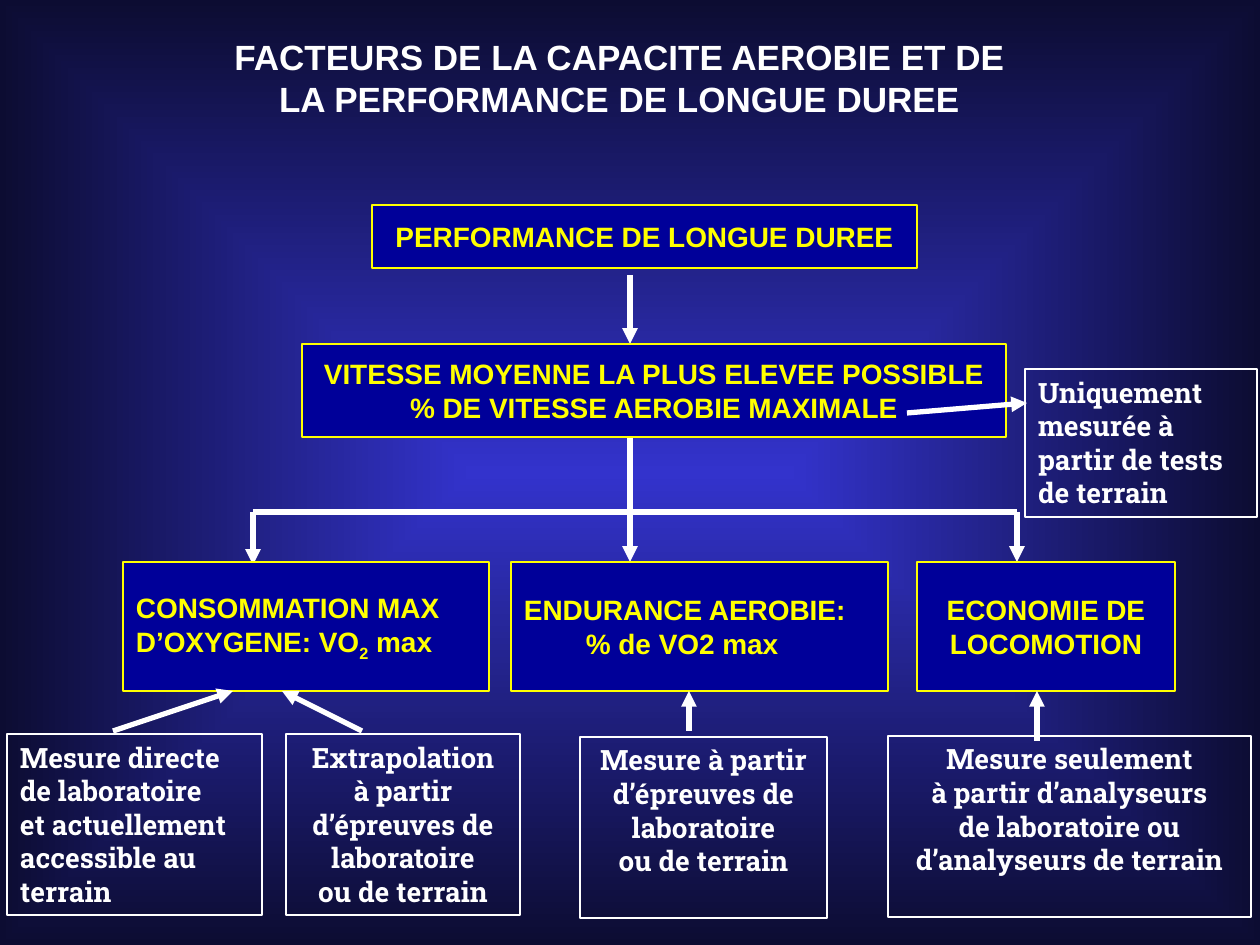
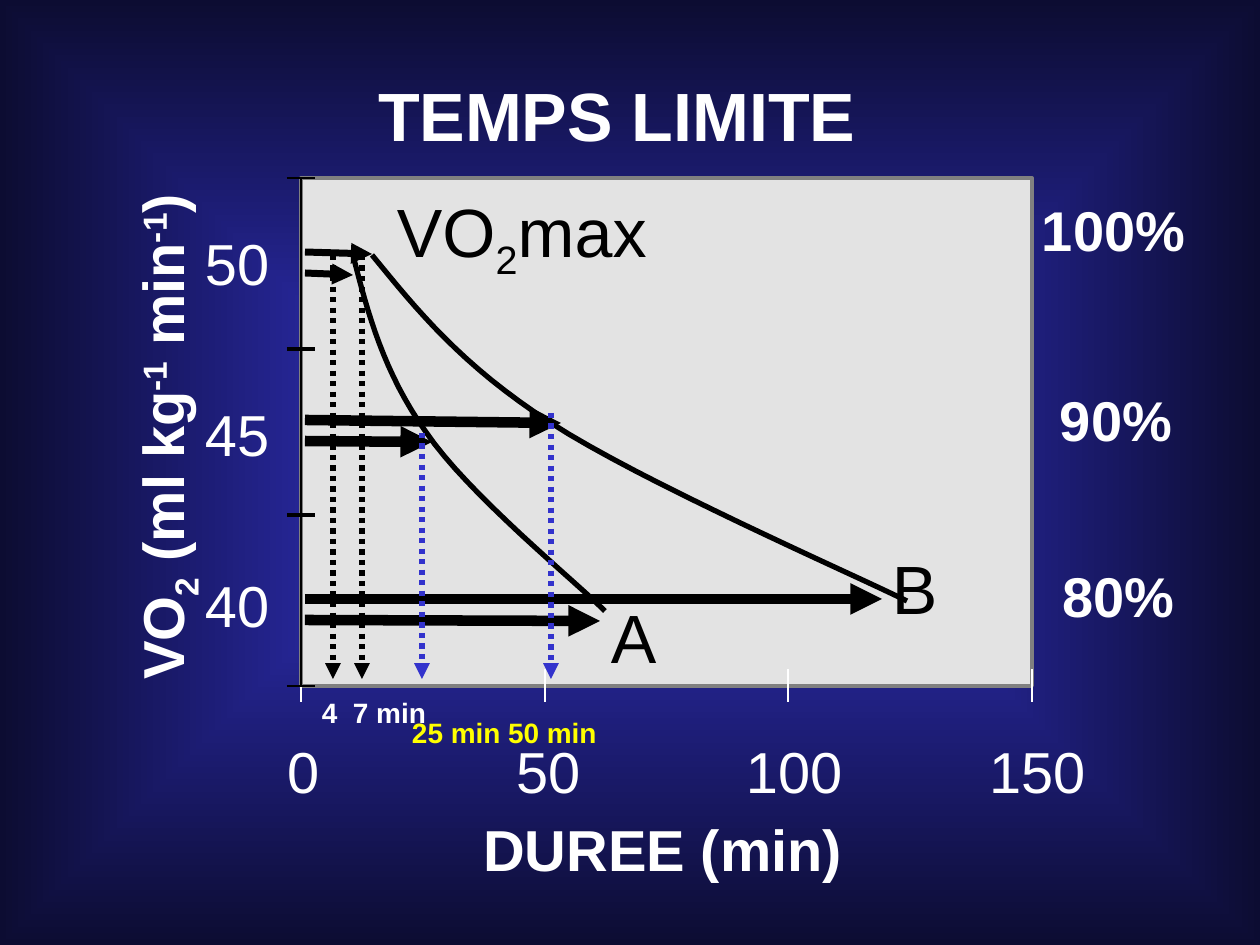
import lxml.etree
import pptx
import pptx.dml.color
import pptx.enum.dml
import pptx.enum.shapes
import pptx.enum.text
import pptx.oxml
import pptx.oxml.ns
import pptx.util

EMU_PER_PX = 914400 / 126
WHITE, BLACK, YELLOW = "FFFFFF", "000000", "FFFF00"
NAVY, BLUE, NIGHT = "000099", "3333CC", "0C0C32"
PANEL, FRAME = "E3E3E3", "808080"
SANS, SLAB = "Arial", "Roboto Slab"
SUB, SUP = -25000, 30000
LEFT, CENTER = pptx.enum.text.PP_ALIGN.LEFT, pptx.enum.text.PP_ALIGN.CENTER
TOP, MIDDLE = pptx.enum.text.MSO_ANCHOR.TOP, pptx.enum.text.MSO_ANCHOR.MIDDLE
RECT = pptx.enum.shapes.MSO_SHAPE.RECTANGLE


def px(n):
    return round(n * EMU_PER_PX)


def rgb(color):
    return pptx.dml.color.RGBColor.from_string(color)


def sub_element(parent, tag, **attrs):
    return lxml.etree.SubElement(parent, pptx.oxml.ns.qn(tag), **attrs)


def set_text(tf, paragraphs, size, color, bold=True, font=SANS, align=LEFT,
             anchor=TOP, inset=(13, 6), last_indent=0, tab=0):
    """Each paragraph is a string or a list of (text, baseline) runs."""
    tf.word_wrap = True
    tf.auto_size = pptx.enum.text.MSO_AUTO_SIZE.NONE
    tf.vertical_anchor = anchor
    tf.margin_left = tf.margin_right = px(inset[0])
    tf.margin_top = tf.margin_bottom = px(inset[1])
    for i, runs in enumerate(paragraphs):
        p = tf.add_paragraph() if i else tf.paragraphs[0]
        p.alignment = align
        pPr = p._p.get_or_add_pPr()
        if last_indent and i == len(paragraphs) - 1:
            pPr.set("marL", str(px(last_indent)))
        if tab:
            tabs = sub_element(pPr, "a:tabLst")
            sub_element(tabs, "a:tab", pos=str(px(tab)), algn="l")
        f = p.font
        f.name, f.size, f.bold = font, pptx.util.Pt(size), bold
        f.color.rgb = rgb(color)
        for text, baseline in [(runs, 0)] if isinstance(runs, str) else runs:
            r = p.add_run()
            r.text = text
            if baseline:
                r._r.get_or_add_rPr().set("baseline", str(baseline))


def set_title(s, box, lines, size, **style):
    sp = s.shapes.title
    sp.left, sp.top, sp.width, sp.height = map(px, box)
    set_text(sp.text_frame, lines, size, WHITE, **style)


def add_box(s, x, y, w, h, fill, line, width):
    sp = s.shapes.add_shape(RECT, px(x), px(y), px(w), px(h))
    sp.shadow.inherit = False
    if fill:
        sp.fill.solid()
        sp.fill.fore_color.rgb = rgb(fill)
    else:
        sp.fill.background()
    sp.line.color.rgb = rgb(line)
    sp.line.width = pptx.util.Pt(width)
    return sp


def add_factor(s, x, y, w, h, lines, align=CENTER, last_indent=0):
    sp = add_box(s, x, y, w, h, NAVY, YELLOW, 0.75)
    set_text(sp.text_frame, lines, 16, YELLOW, align=align, anchor=MIDDLE,
             last_indent=last_indent)


def add_note(s, x, y, w, h, lines, align):
    sp = add_box(s, x, y, w, h, None, WHITE, 0.75)
    set_text(sp.text_frame, lines, 16, WHITE, font=SLAB, align=align)


def add_label(s, x, y, w, h, runs, size, color=WHITE, bold=True, tab=0):
    sp = s.shapes.add_textbox(px(x), px(y), px(w), px(h))
    set_text(sp.text_frame, [runs], size, color, bold, inset=(0, 0), tab=tab)
    return sp


def add_line(s, x0, y0, x1, y1, color=WHITE, width=3, arrow=True, dotted=False):
    c = s.shapes.add_connector(pptx.enum.shapes.MSO_CONNECTOR.STRAIGHT,
                               px(x0), px(y0), px(x1), px(y1))
    c.line.color.rgb = rgb(color)
    c.line.width = pptx.util.Pt(width)
    if dotted:
        c.line.dash_style = pptx.enum.dml.MSO_LINE.ROUND_DOT
    if arrow:
        sub_element(c.line._get_or_add_ln(), "a:tailEnd", type="triangle")
    sub_element(c._element.spPr, "a:effectLst")


def add_curve(s, x, y, points):
    """Draw joined cubic Bezier arcs; neighbours share an end point."""
    steps = 16
    track = [points[0]]
    for i in range(0, len(points) - 1, 3):
        arc = points[i:i + 4]
        for k in range(1, steps + 1):
            t = k / steps
            weights = ((1 - t) ** 3, 3 * t * (1 - t) ** 2, 3 * t * t * (1 - t), t ** 3)
            track.append([sum(b * p[axis] for b, p in zip(weights, arc))
                          for axis in (0, 1)])
    track = [(px(x + dx), px(y + dy)) for dx, dy in track]
    builder = s.shapes.build_freeform(*track[0])
    builder.add_line_segments(track[1:], close=False)
    sp = builder.convert_to_shape()
    sp.shadow.inherit = False
    sp.fill.background()
    sp.line.color.rgb = rgb(BLACK)
    sp.line.width = pptx.util.Pt(3)


def set_background(master):
    fill = master.background.fill
    fill.gradient()
    for stop, color in zip(fill.gradient_stops, (BLUE, NIGHT)):
        stop.color.rgb = rgb(color)
    lin = master._element.find(".//" + pptx.oxml.ns.qn("a:lin"))
    grad = lin.getparent()
    grad.remove(lin)
    path = sub_element(grad, "a:path", path="rect")
    sub_element(path, "a:fillToRect", l="50000", t="50000", r="50000", b="50000")


def factor_tree(s, x, y):
    trunk, bar, row = x + 507, y + 307, y + 357
    left, right = x + 130, x + 894
    add_line(s, trunk, y + 70, trunk, y + 139)
    add_line(s, trunk, y + 229, trunk, bar, arrow=False)
    add_line(s, left, bar, right, bar, arrow=False)
    for drop, end in ((left, row + 3), (trunk, row), (right, row)):
        add_line(s, drop, bar, drop, end)
    add_factor(s, x + 249, y, 545, 63, ["PERFORMANCE DE LONGUE DUREE"])
    add_factor(s, x + 179, y + 139, 704, 93,
               ["VITESSE MOYENNE LA PLUS ELEVEE POSSIBLE",
                "% DE VITESSE AEROBIE MAXIMALE"])
    add_factor(s, x, row, 366, 129,
               ["CONSOMMATION MAX",
                [("D’OXYGENE: VO", 0), ("2", SUB), (" max", 0)]], LEFT)
    add_factor(s, x + 388, row, 377, 129,
               ["ENDURANCE AEROBIE:", "% de VO2 max"], LEFT, last_indent=62)
    add_factor(s, x + 794, row, 258, 129, ["ECONOMIE DE", "LOCOMOTION"])


def field_test_note(s, x, y):
    add_note(s, x, y, 232, 148,
             ["Uniquement", "mesurée à", "partir de tests", "de terrain"], LEFT)
    add_line(s, x - 118, y + 44, x + 2, y + 34)


def measure_notes(s, x, y):
    # left, top, width, alignment, lines, arrow (start x, start y, end x)
    notes = (
        (0, 0, 255, LEFT,
         ["Mesure directe", "de laboratoire", "et actuellement",
          "accessible au", "terrain"], (106, -3, 226)),
        (279, 0, 234, CENTER,
         ["Extrapolation", "à partir", "d’épreuves de", "laboratoire",
          "ou de terrain"], (355, -3, 275)),
        (573, 3, 247, CENTER,
         ["Mesure à partir", "d’épreuves de", "laboratoire",
          "ou de terrain"], (682, -3, 682)),
        (881, 2, 363, CENTER,
         ["Mesure seulement", "à partir d’analyseurs", "de laboratoire ou",
          "d’analyseurs de terrain"], (1030, 7, 1030)),
    )
    for dx, dy, w, align, lines, (x0, y0, x1) in notes:
        add_note(s, x + dx, y + dy, w, 181, lines, align)
        add_line(s, x + x0, y + y0, x + x1, y - 43)


def plot_axes(s, x, y, w, h):
    add_box(s, x, y, w, h, PANEL, FRAME, 2.25)
    for i, (text, dx) in enumerate(
            (("0", -14), ("50", 215), ("100", 445), ("150", 688))):
        tick = x + w * i / 3
        add_line(s, tick, y + h + 16, tick, y + h - 17, width=1.13, arrow=False)
        add_label(s, x + dx, y + h + 50, 110, 69, text, 33, bold=False)
    add_line(s, x, y, x, y + h, BLACK, 1.13, arrow=False)
    for dy, width in ((0, 1.13), (171, 2.25), (337, 2.25), (h, 1.13)):
        add_line(s, x - 14, y + dy, x + 14, y + dy, BLACK, width, arrow=False)
    for i, text in enumerate(("50", "45", "40")):
        add_label(s, x - 96, y + 50 + 171 * i, 75, 69, text, 33, bold=False)
    for text, dx, dy in (("100%", 741, 17), ("90%", 759, 208), ("80%", 761, 384)):
        add_label(s, x + dx, y + dy, 160, 69, text, 32)
    add_label(s, x + 182, y + h + 128, 400, 69, "DUREE (min)", 33)
    sp = add_label(s, x - 385, y + 212, 500, 79,
                   [("VO", 0), ("2", SUB), (" (ml kg", 0), ("-1", SUP),
                    (" min", 0), ("-1", SUP), (")", 0)], 33)
    sp.rotation = 270


def plot_curves(s, x, y, h):
    add_label(s, x + 96, y + 11, 296, 93,
              [("VO", 0), ("2", SUB), ("max", 0)], 39, BLACK, False)
    add_label(s, x + 591, y + 368, 60, 82, "B", 39, BLACK, False)
    add_label(s, x + 310, y + 417, 60, 82, "A", 39, BLACK, False)
    for end, y0, y1, width in ((581, 421, 421, 6), (299, 442, 443, 6),
                               (260, 242, 245, 6), (131, 263, 264, 6),
                               (71, 74, 76, 4), (52, 95, 97, 4)):
        add_line(s, x + 4, y + y0, x + end, y + y1, BLACK, width)
    add_curve(s, x, y, [(71, 77), (116, 132), (160, 187), (250, 245),
                        (339, 303), (547, 394), (606, 423)])
    add_curve(s, x, y, [(52, 77), (67, 136), (83, 195), (125, 254),
                        (166, 315), (274, 403), (304, 433)])
    for dx, dy, color in ((61, 77, BLACK), (32, 77, BLACK),
                          (250, 235, BLUE), (121, 255, BLUE)):
        add_line(s, x + dx, y + dy, x + dx, y + h - 7, color, dotted=True)
    add_label(s, x + 21, y + h + 10, 130, 34, "4\t7 min", 16, tab=31)
    add_label(s, x + 111, y + h + 30, 220, 34, "25 min 50 min", 16, YELLOW)


def factors_slide(prs):
    s = prs.slides.add_slide(prs.slide_layouts[5])
    set_title(s, (21, 29, 1197, 97),
              ["FACTEURS DE LA CAPACITE AEROBIE ET DE",
               "LA PERFORMANCE DE LONGUE DUREE"], 20, align=CENTER)
    factor_tree(s, 123, 205)
    measure_notes(s, 7, 734)
    field_test_note(s, 1025, 369)


def time_limit_slide(prs):
    s = prs.slides.add_slide(prs.slide_layouts[5])
    set_title(s, (378, 73, 640, 82), ["TEMPS LIMITE"], 39, inset=(0, 0))
    x, y, w, h = 301, 178, 731, 508
    plot_axes(s, x, y, w, h)
    plot_curves(s, x, y, h)


def main():
    prs = pptx.Presentation()
    prs.slide_width, prs.slide_height = px(1260), px(945)
    set_background(prs.slide_master)
    factors_slide(prs)
    time_limit_slide(prs)
    prs.save("out.pptx")


if __name__ == "__main__":
    main()
